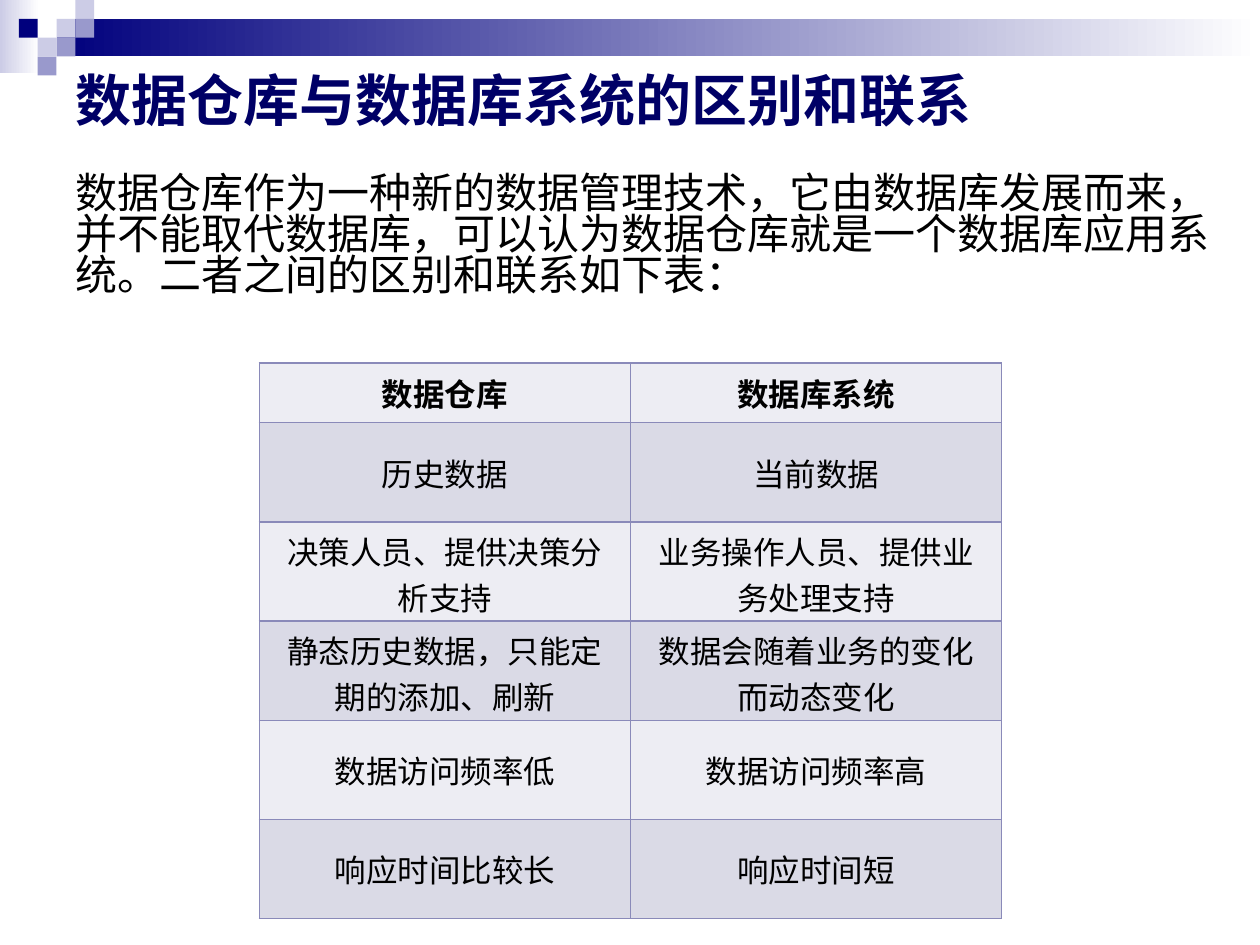
from lxml import etree
from pptx import Presentation
from pptx import util as u
from pptx.dml.color import RGBColor
from pptx.enum import shapes, text
from pptx.oxml.ns import qn

Cm = u.Cm
COLORS = {
    "navy": "00007D", "violet": "9999CC", "lilac": "CCCCE6", "white": "FFFFFF",
    "heading": "000066", "ink": "000000", "border": "8A8AB9",
    "light_row": "EDEDF3", "dark_row": "DADAE6",
}
CJK = "Noto Sans CJK SC"


def color(name):
    return RGBColor.from_string(COLORS[name])


def write(frame, content, size, face=CJK, ink="ink", bold=False,
          align=text.PP_ALIGN.LEFT, anchor=text.MSO_ANCHOR.MIDDLE, spacing=1.0):
    frame.word_wrap = True
    frame.vertical_anchor = anchor
    paragraph = frame.paragraphs[0]
    paragraph.alignment = align
    paragraph.line_spacing = spacing
    run = paragraph.add_run()
    run.text = content
    run.font.size = u.Pt(size)
    run.font.bold = bold
    run.font.color.rgb = color(ink)
    run.font.name = face
    etree.SubElement(run.font._element, qn("a:ea"), typeface=CJK)


prs = Presentation()
prs.slide_width, prs.slide_height = Cm(25.4), Cm(19.05)
slide = prs.slides.add_slide(prs.slide_layouts[5])

STEP = 0.38
decorations = [
    (0, 0, 0.79, 1.47, ("lilac", "white")),
    (1.14, STEP, 24.26, 0.76, ("navy", "white")),
]
mosaic = [(3, 1, "lilac"), (4, 0, "lilac"), (4, 1, "violet"), (2, 2, "lilac"),
          (1, 1, "navy"), (3, 2, "violet"), (2, 3, "violet")]
for col, row, tone in mosaic:
    decorations.append((col * STEP, row * STEP, STEP, STEP, (tone,)))

for left, top, width, height, tones in decorations:
    block = slide.shapes.add_shape(shapes.MSO_SHAPE.RECTANGLE,
                                   Cm(left), Cm(top), Cm(width), Cm(height))
    block.shadow.inherit = False
    block.line.fill.background()
    if len(tones) == 1:
        block.fill.solid()
        block.fill.fore_color.rgb = color(tones[0])
    else:
        block.fill.gradient()
        block.fill.gradient_angle = 0
        for stop, tone in zip(block.fill.gradient_stops, tones):
            stop.color.rgb = color(tone)

heading = slide.shapes.title
heading.left, heading.top, heading.width, heading.height = Cm(1.27), Cm(1.27), Cm(22.86), Cm(1.45)
write(heading.text_frame, "数据仓库与数据库系统的区别和联系", 32, ink="heading", bold=True)

intro = slide.shapes.add_textbox(Cm(1.27), Cm(3.33), Cm(23.83), Cm(3.33))
intro.text_frame.margin_top = Cm(0.2)
write(intro.text_frame,
      "数据仓库作为一种新的数据管理技术，它由数据库发展而来，并不能取代数据库，"
      "可以认为数据仓库就是一个数据库应用系统。二者之间的区别和联系如下表：",
      24, anchor=text.MSO_ANCHOR.TOP, spacing=0.82)

differences = [
    ("数据仓库", "数据库系统"),
    ("历史数据", "当前数据"),
    ("决策人员、提供决策分析支持", "业务操作人员、提供业务处理支持"),
    ("静态历史数据，只能定期的添加、刷新", "数据会随着业务的变化而动态变化"),
    ("数据访问频率低", "数据访问频率高"),
    ("响应时间比较长", "响应时间短"),
]
comparison = slide.shapes.add_table(len(differences), 2, Cm(5.23), Cm(7.32),
                                    Cm(14.96), Cm(11.2)).table
comparison.first_row = comparison.horz_banding = False
for column in comparison.columns:
    column.width = Cm(7.48)
for r, entries in enumerate(differences):
    comparison.rows[r].height = Cm(2 if r else 1.2)
    for c, entry in enumerate(entries):
        cell = comparison.cell(r, c)
        cell.fill.solid()
        cell.fill.fore_color.rgb = color("dark_row" if r % 2 else "light_row")
        cell.vertical_anchor = text.MSO_ANCHOR.MIDDLE
        write(cell.text_frame, entry, 18, face="Arial", bold=r == 0,
              align=text.PP_ALIGN.CENTER)
        properties = cell._tc.get_or_add_tcPr()
        for place, side in enumerate(("lnL", "lnR", "lnT", "lnB")):
            edge = etree.Element(qn(f"a:{side}"), w=str(u.Pt(1)))
            paint = etree.SubElement(edge, qn("a:solidFill"))
            etree.SubElement(paint, qn("a:srgbClr"), val=COLORS["border"])
            properties.insert(place, edge)

prs.save("out.pptx")
